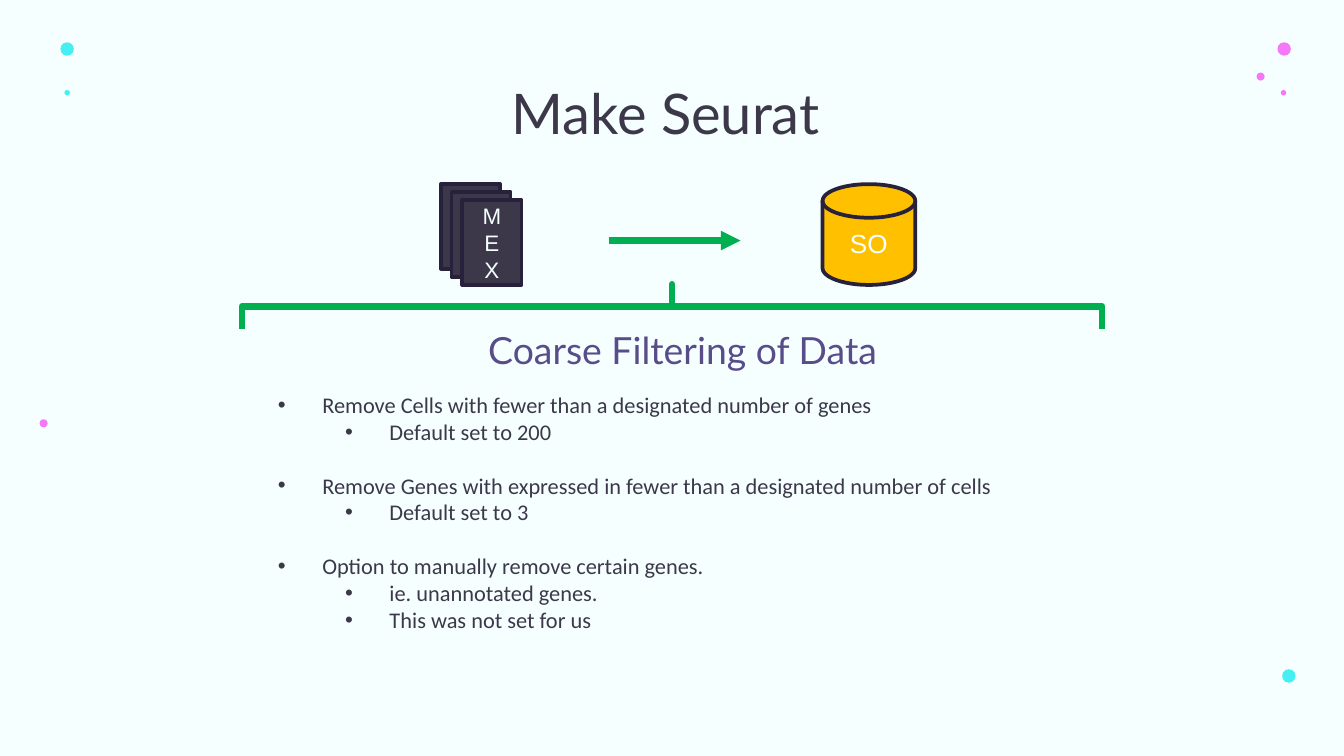
import pptx
import pptx.util
import pptx.dml.color
import pptx.enum.shapes
import pptx.enum.text
import pptx.oxml.ns
import lxml.etree

RGB = pptx.dml.color.RGBColor
PALE = RGB(0xF5, 0xFF, 0xFF)
PINK = RGB(0xF5, 0x78, 0xF8)
CYAN = RGB(0x46, 0xEF, 0xF2)
DARK = RGB(0x3C, 0x38, 0x4A)
EDGE = RGB(0x27, 0x21, 0x3C)
GREEN = RGB(0x00, 0xB0, 0x50)
GOLD = RGB(0xFF, 0xC0, 0x00)
PLUM = RGB(0x58, 0x4C, 0x89)

Pt = pptx.util.Pt
KIND = pptx.enum.shapes.MSO_SHAPE
ALIGN = pptx.enum.text.PP_ALIGN
ANCHOR = pptx.enum.text.MSO_ANCHOR
qn = pptx.oxml.ns.qn

# Wide 16:9 slide
deck = pptx.Presentation()
deck.slide_width = pptx.util.Inches(10)
deck.slide_height = deck.slide_width * 9 // 16
slide = deck.slides.add_slide(deck.slide_layouts[5])
slide.background.fill.solid()
slide.background.fill.fore_color.rgb = PALE

# Grid of 100 columns and 56.25 rows
COL = deck.slide_width / 100
ROW = deck.slide_height / 56.25


def draw(kind, x, y, w, h, fill=None, line=None, width=2):
    shape = slide.shapes.add_shape(
        kind, int(x * COL), int(y * ROW), int(w * COL), int(h * ROW))
    shape.shadow.inherit = False
    if fill is None:
        shape.fill.background()
    else:
        shape.fill.solid()
        shape.fill.fore_color.rgb = fill
    if line is None:
        shape.line.fill.background()
    else:
        shape.line.color.rgb = line
        shape.line.width = Pt(width)
    return shape


def write(shape, text, font, size, color, align=ALIGN.CENTER, anchor=ANCHOR.TOP):
    frame = shape.text_frame
    frame.text = text
    frame.word_wrap = True
    frame.auto_size = pptx.enum.text.MSO_AUTO_SIZE.NONE
    frame.vertical_anchor = anchor
    frame.margin_left = frame.margin_right = int(COL)
    frame.margin_top = frame.margin_bottom = int(ROW)
    for para in frame.paragraphs:
        para.alignment = align
        for run in para.runs:
            run.font.name = font
            run.font.size = Pt(size)
            run.font.color.rgb = color
    return frame


# Corner dots
for x, y, size, color in [
    (95.05, 3.15, 1, PINK), (93.5, 5.4, 0.6, PINK), (95.3, 6.7, 0.4, PINK),
    (4.5, 3.15, 1, CYAN), (4.8, 6.7, 0.4, CYAN),
    (2.95, 31.2, 0.6, PINK), (95.4, 49.8, 1, CYAN),
]:
    draw(KIND.OVAL, x, y, size, size, color)

# Title
title = slide.shapes.title
title.left, title.top = int(7.9 * COL), int(4.85 * ROW)
title.width, title.height = int(84.3 * COL), int(6.3 * ROW)
write(title, "Make Seurat ", "Lato", 30, DARK)

# Stack of matrix files
for i in range(3):
    sheet = draw(KIND.RECTANGLE, 32.8 + 0.8 * i, 13.7 + 0.6 * i, 4.4, 6.3, DARK, EDGE)
frame = write(sheet, "ME\nX", "Arial", 12, PALE, anchor=ANCHOR.MIDDLE)
frame.margin_top = frame.margin_bottom = int(ROW / 2)

# Arrow from files to object
arrow = slide.shapes.add_connector(
    pptx.enum.shapes.MSO_CONNECTOR.STRAIGHT,
    int(45.3 * COL), int(17.9 * ROW), int(55.1 * COL), int(17.9 * ROW))
arrow.line.color.rgb = GREEN
arrow.line.width = Pt(3.5)
lxml.etree.SubElement(arrow.line._get_or_add_ln(), qn("a:tailEnd"), type="triangle")
lxml.etree.SubElement(arrow._element.spPr, qn("a:effectLst"))

# Stored object
disk = draw(KIND.FLOWCHART_MAGNETIC_DISK, 61.2, 13.7, 6.9, 7.5, GOLD, EDGE)
write(disk, "SO", "Arial", 14, PALE, anchor=ANCHOR.MIDDLE)

# Brace above the details
brace = draw(KIND.LEFT_BRACE, 48.35, -9.2, 3.3, 64, None, GREEN, 3.5)
brace.rotation = 90
brace.adjustments[0] = 0
brace.adjustments[1] = 0.5

# Filter steps: level and text
steps = [
    (0, "Remove Cells with fewer than a designated number of genes"),
    (1, "Default set to 200"),
    (0, "Remove Genes with expressed in fewer than a designated number of cells"),
    (1, "Default set to 3"),
    (0, "Option to manually remove certain genes."),
    (1, "ie. unannotated genes."),
    (1, "This was not set for us"),
]
body = slide.shapes.add_textbox(int(18 * COL), int(28.1 * ROW), int(64 * COL), int(26 * ROW))
frame = write(body, "\n".join(text for _, text in steps), "Calibri", 12, DARK, ALIGN.LEFT)
for i, (para, (level, _)) in enumerate(zip(frame.paragraphs, steps)):
    para.level = level
    if i and level == 0:
        para.space_before = Pt(14.4)
    props = para._p.get_or_add_pPr()
    props.set("marL", str(int((5 + 5 * level) * COL)))
    props.set("indent", str(int(-3.3 * COL)))
    tint = lxml.etree.SubElement(props, qn("a:buClr"))
    lxml.etree.SubElement(tint, qn("a:srgbClr"), val=str(DARK))
    lxml.etree.SubElement(props, qn("a:buFont"), typeface="Arial")
    lxml.etree.SubElement(props, qn("a:buChar"), char="•")

# Heading under the brace
head = slide.shapes.add_textbox(int(30.3 * COL), int(23.9 * ROW), int(39.3 * COL), int(4.8 * ROW))
frame = write(head, "Coarse Filtering of Data", "Lato", 20, PLUM, anchor=ANCHOR.BOTTOM)
props = frame.paragraphs[0]._p.get_or_add_pPr()
props.set("marL", str(int(5 * COL)))
props.set("indent", str(int(-3.3 * COL)))

deck.save("out.pptx")
